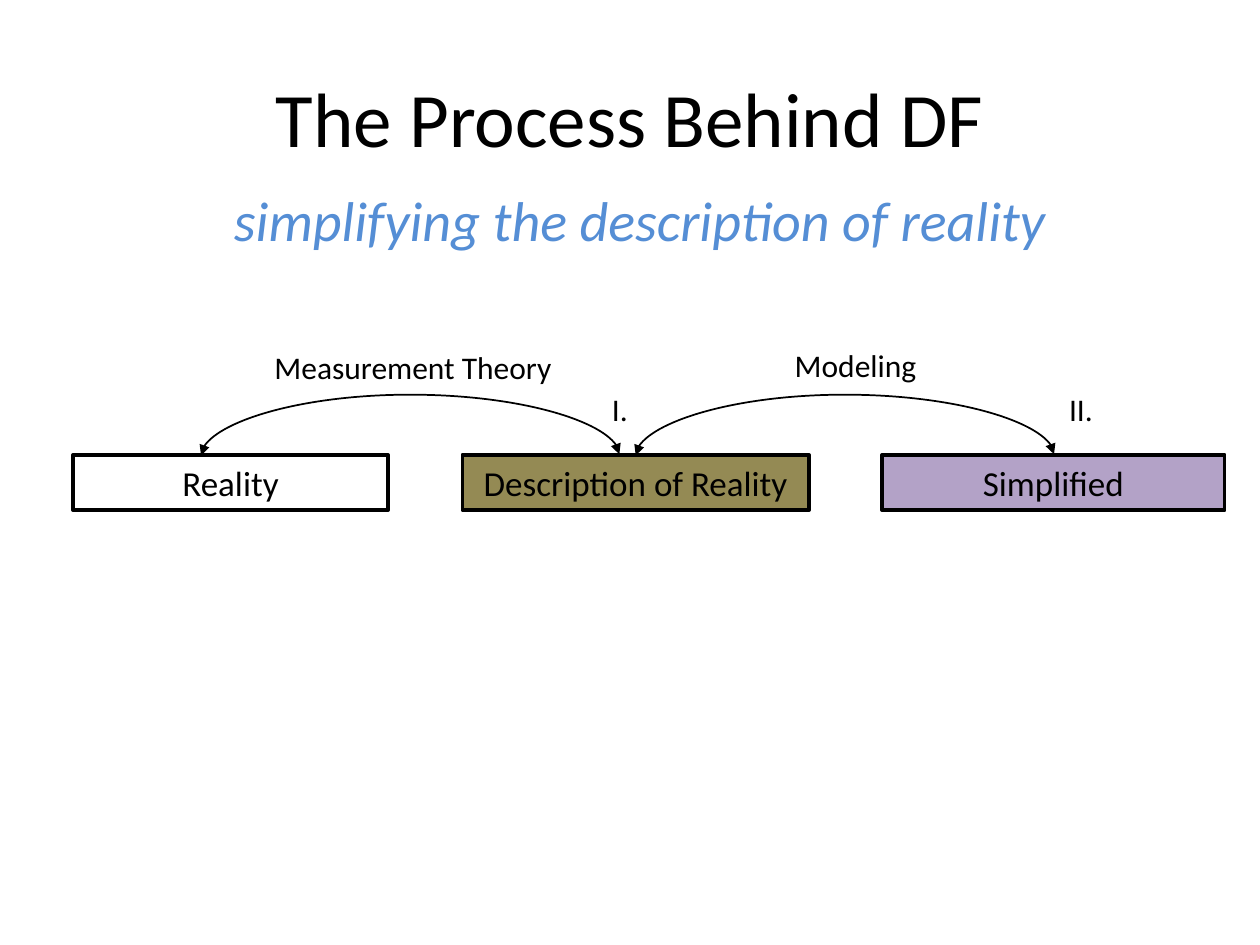
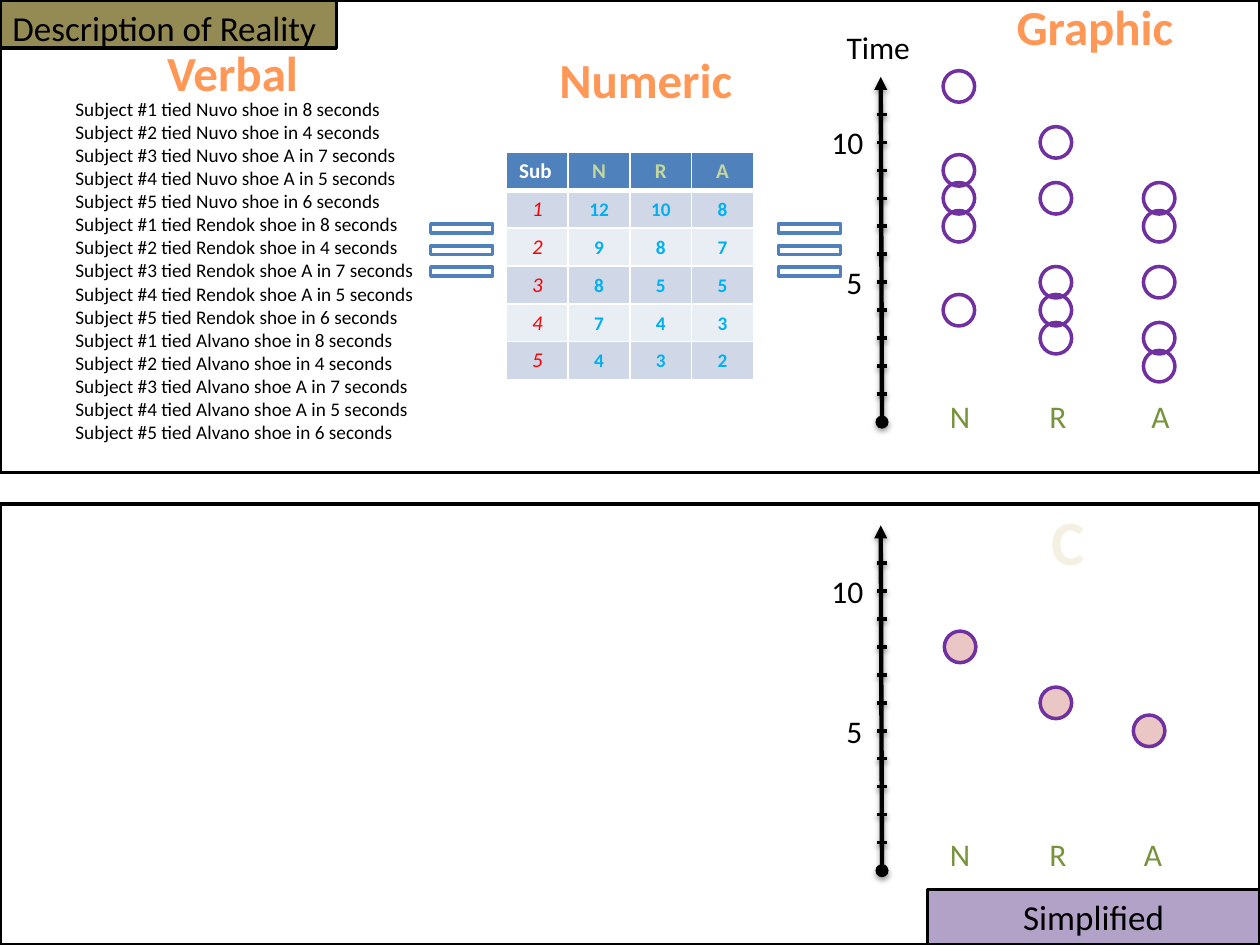
from lxml import etree
from pptx import Presentation
from pptx.dml.color import RGBColor
from pptx.enum.shapes import MSO_CONNECTOR, MSO_SHAPE
from pptx.enum.text import MSO_ANCHOR, PP_ALIGN
from pptx.oxml.ns import qn
from pptx.util import Inches, Pt

RECTANGLE, ELLIPSE, EQUALS = MSO_SHAPE.RECTANGLE, MSO_SHAPE.OVAL, MSO_SHAPE.MATH_EQUAL
STRAIGHT, CURVE = MSO_CONNECTOR.STRAIGHT, MSO_CONNECTOR.CURVE
LEFT, CENTER = PP_ALIGN.LEFT, PP_ALIGN.CENTER
TOP, MIDDLE = MSO_ANCHOR.TOP, MSO_ANCHOR.MIDDLE

BLACK = RGBColor(0x00, 0x00, 0x00)
WHITE = RGBColor(0xFF, 0xFF, 0xFF)
SKY = RGBColor(0x55, 0x8E, 0xD5)
OLIVE = RGBColor(0x94, 0x8A, 0x54)
LILAC = RGBColor(0xB3, 0xA2, 0xC7)
ORANGE = RGBColor(0xFF, 0x98, 0x56)
CREAM = RGBColor(0xF4, 0xF1, 0xE3)
BLUE = RGBColor(0x4F, 0x81, 0xBD)
PALE_GREEN = RGBColor(0xC3, 0xD6, 0x9B)
GREEN = RGBColor(0x77, 0x93, 0x3C)
RED = RGBColor(0xFF, 0x00, 0x00)
CYAN = RGBColor(0x00, 0xB0, 0xF0)
BANDS = RGBColor(0xD0, 0xD8, 0xE8), RGBColor(0xE9, 0xED, 0xF4)
PURPLE = RGBColor(0x70, 0x30, 0xA0)
ROSE = RGBColor(0xD9, 0x96, 0x94)

FONT = "Calibri"
HEADING = {"size": Pt(28), "bold": True}

# Seconds needed to tie each shoe, one value per subject
TIMES = {"N": [12, 9, 8, 7, 4], "R": [10, 8, 5, 4, 3], "A": [8, 7, 5, 3, 2]}
SHOES = "Nuvo", "Rendok", "Alvano"
VERBAL_RESULTS = ("", 8), ("", 4), (" A", 7), (" A", 5), ("", 6)

AXIS_X = 7
AXIS_LENGTH = 2.74
SECOND = 2.22 / 10
DOT = 0.25


def write(paragraph, text, color=BLACK, align=CENTER, **formats):
    paragraph.alignment = align
    span = paragraph.add_run()
    span.text = text
    span.font.color.rgb = color
    for name, value in {"name": FONT, "size": Pt(18), **formats}.items():
        setattr(span.font, name, value)


def add_text(page, place, lines, wrap=True, anchor=TOP, **formats):
    box = page.shapes.add_textbox(*map(Inches, place))
    frame = box.text_frame
    frame.word_wrap = wrap
    frame.vertical_anchor = anchor
    for index, line in enumerate(lines):
        paragraph = frame.add_paragraph() if index else frame.paragraphs[0]
        write(paragraph, line, **formats)
    return box


def add_shape(page, kind, place, fill=None, line=BLACK):
    shape = page.shapes.add_shape(kind, *map(Inches, place))
    shape.shadow.inherit = False
    if fill is None:
        shape.fill.background()
    else:
        shape.fill.solid()
        shape.fill.fore_color.rgb = fill
    shape.line.color.rgb = line
    shape.line.width = Pt(2)
    return shape


def add_stage(page, place, text, fill, align=CENTER):
    frame = add_shape(page, RECTANGLE, place, fill).text_frame
    frame.word_wrap = True
    frame.vertical_anchor = TOP
    write(frame.paragraphs[0], text, align=align, size=Pt(20))


def add_line(page, kind, start, end, width, head=None, tail=None):
    line = page.shapes.add_connector(kind, *map(Inches, start + end))
    line.line.color.rgb = BLACK
    line.line.width = Pt(width)
    outline = line.line._get_or_add_ln()
    for tag, arrow in (("a:headEnd", head), ("a:tailEnd", tail)):
        if arrow:
            etree.SubElement(outline, qn(tag), type=arrow)
    return line


def add_arc(page, left, right, base, rise):
    """Double-headed arc: a curved connector turned by 90 degrees."""
    middle, half, thin = (left + right) / 2, (right - left) / 2, 0.01
    arc = add_line(page, CURVE, (middle + thin, base + half), (middle, base - half),
                   1, "triangle", "triangle")
    properties = arc._element.spPr
    etree.SubElement(properties, qn("a:effectLst"))
    properties.find(qn("a:xfrm")).set("rot", "5400000")
    guides = properties.find(qn("a:prstGeom")).find(qn("a:avLst"))
    etree.SubElement(guides, qn("a:gd"), name="adj1",
                     fmla=f"val {round(rise / thin * 100000)}")


def add_axis(page, base):
    add_line(page, STRAIGHT, (AXIS_X, base), (AXIS_X - 0.01, base - AXIS_LENGTH),
             2.5, "oval", "triangle")
    for value in range(1, 12):
        y = base - value * SECOND
        add_line(page, STRAIGHT, (AXIS_X - 0.04, y), (AXIS_X + 0.04, y), 2)
    for value, left, width in ((5, 6.62, 0.33), (10, 6.5, 0.46)):
        top = base - value * SECOND - 0.2
        add_text(page, (left, top, width, 0.4), [str(value)], wrap=False, align=LEFT)


def add_dot(page, center, value, base, fill=None):
    place = (center - DOT / 2, base - value * SECOND - DOT / 2, DOT, DOT)
    dot = add_shape(page, ELLIPSE, place, fill, PURPLE)
    if fill is not None:
        color = dot._element.spPr.find(qn("a:solidFill"))[0]
        etree.SubElement(color, qn("a:alpha"), val="54000")


def add_shoe_labels(page, top, stops):
    box = add_text(page, (7.44, top, 2.06, 0.4), ["\t".join(TIMES)],
                   color=GREEN, align=LEFT)
    properties = box.text_frame.paragraphs[0]._p.get_or_add_pPr()
    tabs = etree.SubElement(properties, qn("a:tabLst"))
    for stop in stops:
        etree.SubElement(tabs, qn("a:tab"), pos=str(Inches(stop)), algn="l")


def style_cell(cell, fill, bottom):
    cell.fill.solid()
    cell.fill.fore_color.rgb = fill
    properties = cell._tc.get_or_add_tcPr()
    edges = ("a:lnL", 1), ("a:lnR", 1), ("a:lnT", 1), ("a:lnB", bottom)
    for index, (tag, width) in enumerate(edges):
        edge = etree.Element(qn(tag), w=str(Pt(width)))
        paint = etree.SubElement(edge, qn("a:solidFill"))
        etree.SubElement(paint, qn("a:srgbClr"), val=str(WHITE))
        properties.insert(index, edge)


def add_times_table(page):
    rows = [("Sub", *TIMES)]
    rows += [(subject, *times) for subject, times in enumerate(zip(*TIMES.values()), 1)]
    table = page.shapes.add_table(len(rows), 4, *map(Inches, (4.02, 1.21, 1.96, 1.8))).table
    for column in table.columns:
        column.width = Inches(0.49)
    for r, row in enumerate(rows):
        table.rows[r].height = Inches(0.3)
        for c, value in enumerate(row):
            cell = table.cell(r, c)
            style_cell(cell, BANDS[(r - 1) % 2] if r else BLUE, 1 if r else 3)
            formats = {"size": Pt(12), "bold": True, "color": PALE_GREEN if c else WHITE}
            if r and c:
                formats.update(size=Pt(11), color=CYAN)
                cell.vertical_anchor = MIDDLE
                for side in ("left", "top", "right"):
                    setattr(cell, f"margin_{side}", Inches(0.01))
                cell.margin_bottom = 0
            elif r:
                formats.update(bold=False, italic=True, color=RED)
            write(cell.text_frame.paragraphs[0], str(value),
                  align=CENTER if r or c else LEFT, **formats)


def build_process(page):
    add_text(page, (0.5, 0.3, 9, 1.25), ["The Process Behind DF"],
             anchor=MIDDLE, size=Pt(44))
    add_text(page, (0.58, 1.42, 9, 0.75), ["simplifying the description of reality"],
             color=SKY, size=Pt(32), italic=True)
    # Stages
    for left, width, text, fill in ((0.58, 2.5, "Reality", WHITE),
                                    (3.67, 2.75, "Description of Reality", OLIVE),
                                    (7, 2.72, "Simplified", LILAC)):
        add_stage(page, (left, 3.61, width, 0.44), text, fill)
    # Steps between the stages
    for left, right in ((1.59, 4.91), (5.04, 8.36)):
        add_arc(page, left, right, 3.61, 0.49)
    for left, number in ((4.42, "I."), (8.08, "II.")):
        add_text(page, (left, 3.05, 1, 0.4), [number])
    add_text(page, (2.08, 2.71, 2.58, 0.4), ["Measurement Theory"], align=LEFT)
    add_text(page, (5.5, 2.7, 2.58, 0.4), ["Modeling"])


def build_example(page):
    # Two panels with their tags
    add_stage(page, (0, 0, 2.67, 0.38), "Description of Reality", OLIVE, LEFT)
    add_shape(page, RECTANGLE, (0, 0, 10, 3.75))
    add_stage(page, (7.36, 7.06, 2.64, 0.44), "Simplified", LILAC)
    add_shape(page, RECTANGLE, (0, 4, 10, 3.5))

    # Three equal descriptions
    for left, top, width, text in ((1.22, 0.29, 1.25, "Verbal"),
                                   (4.33, 0.34, 1.59, "Numeric"),
                                   (7.96, -0.08, 1.46, "Graphic")):
        add_text(page, (left, top, width, 0.57), [text], wrap=False,
                 color=ORANGE, **HEADING)
    sentences = [f"Subject #{subject} tied {shoe} shoe{suffix} in {seconds} seconds"
                 for shoe in SHOES
                 for subject, (suffix, seconds) in enumerate(VERBAL_RESULTS, 1)]
    add_text(page, (0.5, 0.72, 3.08, 3.25), sentences, align=LEFT, size=Pt(11))
    add_times_table(page)
    for left in (3.33, 6.09):
        for top in (1.86, 1.69):
            sign = add_shape(page, EQUALS, (left, top, 0.67, 0.42), WHITE, BLUE)
            sign.adjustments[0], sign.adjustments[1] = 0.17, 0.24

    # All times above, their means below
    upper, lower = 3.35, 6.91
    add_axis(page, upper)
    add_axis(page, lower)
    for times, center, mean_center in zip(TIMES.values(), (7.61, 8.38, 9.2),
                                          (7.62, 8.38, 9.12)):
        for value in times:
            add_dot(page, center, value, upper)
        add_dot(page, mean_center, sum(times) / len(times), lower, ROSE)
    add_shoe_labels(page, 3.1, (0.79, 1.6))
    add_shoe_labels(page, 6.58, (0.79, 1.54))
    add_text(page, (6.62, 0.17, 0.71, 0.4), ["Time"], wrap=False, align=LEFT)
    add_text(page, (8.24, 3.94, 0.47, 0.71), ["C"], wrap=False,
             color=CREAM, size=Pt(36), bold=True)


def main():
    deck = Presentation()
    deck.slide_width, deck.slide_height = Inches(10), Inches(7.5)
    for build in (build_process, build_example):
        build(deck.slides.add_slide(deck.slide_layouts[6]))
    deck.save("out.pptx")


if __name__ == "__main__":
    main()
